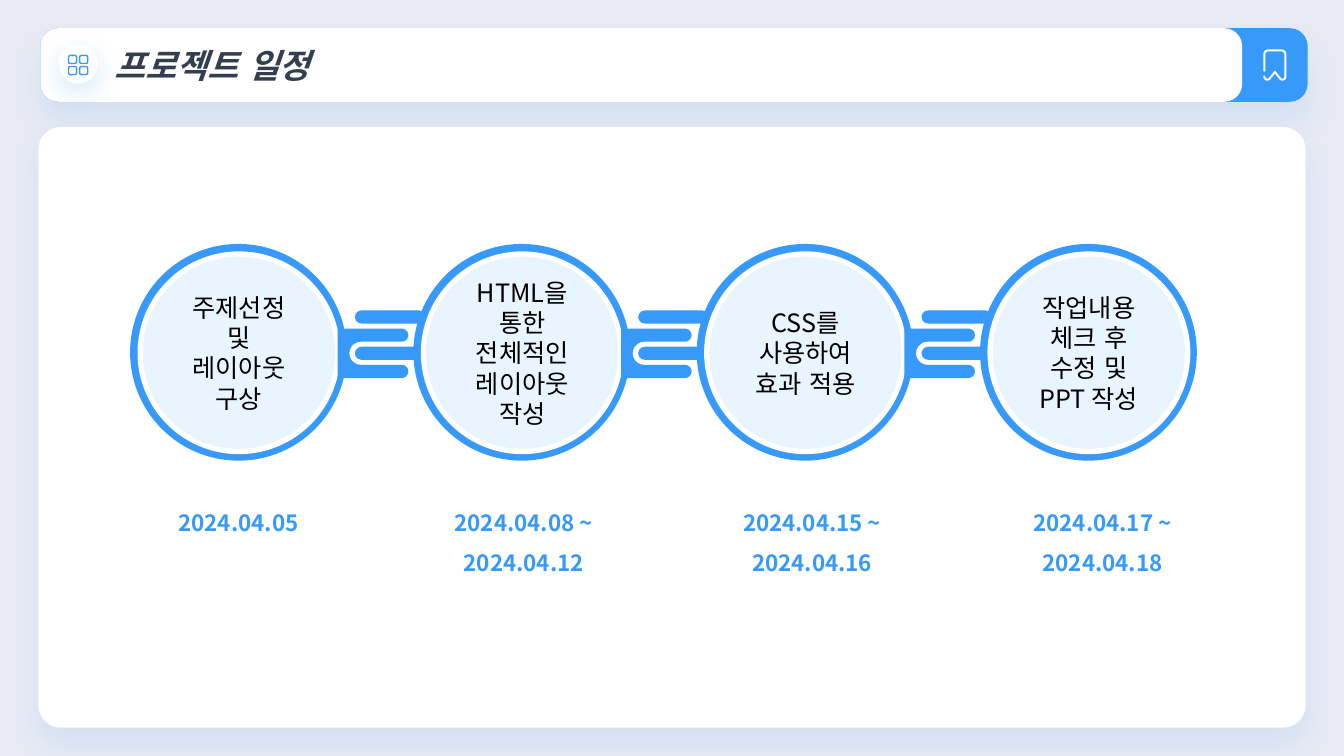
import math

import pptx
import pptx.dml.color
import pptx.enum.lang
import pptx.enum.shapes
import pptx.enum.text
import pptx.oxml
import pptx.oxml.ns
import pptx.util
from pptx.util import Inches

RGBColor = pptx.dml.color.RGBColor
SHAPES = pptx.enum.shapes.MSO_SHAPE
ALIGN = pptx.enum.text.PP_ALIGN
ANCHOR = pptx.enum.text.MSO_ANCHOR

BACKDROP = RGBColor(0xE7, 0xEA, 0xF3)
BLUE = RGBColor(0x37, 0x99, 0xFA)
PALE = RGBColor(0xE8, 0xF4, 0xFE)
SLATE = RGBColor(0x33, 0x3F, 0x50)
WHITE = RGBColor(0xFF, 0xFF, 0xFF)
BLACK = RGBColor(0, 0, 0)
FONT = "Noto Sans CJK KR"

TITLE_FORMAT = {"size": pptx.util.Pt(24), "bold": True, "italic": True}
STEP_FORMAT = {"size": pptx.util.Pt(18)}
DATE_FORMAT = {"size": pptx.util.Pt(16), "bold": True}

# Task, date paragraphs, left edge of the date
STEPS = [
    ("주제선정 및\v레이아웃 구상", ["2024.04.05"], 1.09),
    ("HTML을 통한 전체적인 레이아웃 작성", ["2024.04.08 ~\v2024.04.12"], 3.92),
    ("CSS를 사용하여 효과 적용", ["2024.04.15 ~\v2024.04.16"], 6.78),
    ("작업내용 체크 후 수정 및 PPT 작성", ["2024.04.17 ~", "2024.04.18"], 9.66),
]
DISC = 2.15
PITCH = 2.81


def paint(shape, fill, line=None, weight=0):
    shape.shadow.inherit = False
    shape.fill.solid()
    shape.fill.fore_color.rgb = fill
    if line is None:
        shape.line.fill.background()
    else:
        shape.line.color.rgb = line
        shape.line.width = pptx.util.Pt(weight)
    return shape


def add_block(page, kind, box, fill, line=None, weight=0, corner=None):
    shape = page.shapes.add_shape(kind, *map(Inches, box))
    if corner is not None:
        shape.adjustments[0] = corner
    return paint(shape, fill, line, weight)


def add_shadow(shape, opacity, distance):
    effects = shape.element.spPr.find(pptx.oxml.ns.qn("a:effectLst"))
    effects.append(pptx.oxml.parse_xml(
        f'<a:outerShdw {pptx.oxml.ns.nsdecls("a")} blurRad="{pptx.util.Pt(19)}" '
        f'dist="{pptx.util.Pt(distance)}" dir="5400000" algn="t" rotWithShape="0">'
        f'<a:srgbClr val="{BLUE}"><a:alpha val="{opacity * 1000}"/></a:srgbClr>'
        '</a:outerShdw>'))


def arc(x, y, radius, start, end, steps=10):
    angles = [math.radians(start + (end - start) * i / steps) for i in range(steps + 1)]
    return [(x + radius * math.cos(a), y + radius * math.sin(a)) for a in angles]


def add_outline(page, left, top, points, fill):
    spots = [(Inches(left + x), Inches(top + y)) for x, y in points]
    builder = page.shapes.build_freeform(*spots[0])
    builder.add_line_segments(spots[1:], close=True)
    return paint(builder.convert_to_shape(), fill)


def write(shape, texts, formats, color, align, spacing=None):
    frame = shape.text_frame
    frame.word_wrap = True
    for index, text in enumerate(texts):
        para = frame.add_paragraph() if index else frame.paragraphs[0]
        para.text = text
        para.alignment = align
        para.line_spacing = spacing
        for span in para.runs:
            span.font.name = FONT
            span.font.color.rgb = color
            span.font.language_id = pptx.enum.lang.MSO_LANGUAGE_ID.KOREAN
            for name, value in formats.items():
                setattr(span.font, name, value)
            span.font._element.append(pptx.oxml.parse_xml(
                f'<a:ea {pptx.oxml.ns.nsdecls("a")} typeface="{FONT}"/>'))
    return frame


def draw_bookmark(page, left, top):
    points = (
        arc(0.19, 0.27, 0.04, 135, 0) + arc(0.18, 0.05, 0.05, 0, -90)
        + arc(0.05, 0.05, 0.05, -90, -180) + arc(0.01, 0.21, 0.01, 180, 0)
        + arc(0.05, 0.05, 0.03, 180, 270) + arc(0.18, 0.05, 0.03, 270, 360)
        + arc(0.19, 0.27, 0.02, 0, 135) + [(0.115, 0.21)]
        + arc(0.04, 0.27, 0.02, 45, 180) + arc(0.01, 0.27, 0.01, 0, -180)
        + arc(0.04, 0.27, 0.04, 180, 45) + [(0.115, 0.24)])
    add_outline(page, left, top, points, WHITE)


def draw_header(page, left, top, width, height):
    # Blue bar with the white title plate on top
    bar = add_block(page, SHAPES.ROUNDED_RECTANGLE, (left, top, width, height),
                    BLUE, corner=0.243)
    add_shadow(bar, 10, 14)
    plate = add_block(page, SHAPES.ROUNDED_RECTANGLE, (left, top, width - 0.65, height),
                      WHITE, corner=0.243)
    frame = write(plate, ["프로젝트 일정"], TITLE_FORMAT, SLATE, ALIGN.LEFT)
    frame.vertical_anchor = ANCHOR.MIDDLE
    frame.paragraphs[0]._p.get_or_add_pPr().set("marL", str(Inches(0.59)))

    draw_bookmark(page, left + width - 0.44, top + 0.21)

    # Round button with four tiles
    button = add_block(page, SHAPES.OVAL, (left + 0.18, top + 0.16, 0.39, 0.39), WHITE)
    add_shadow(button, 20, 6)
    for index in range(4):
        row, column = divmod(index, 2)
        box = (left + 0.28 + 0.11 * column, top + 0.27 + 0.11 * row, 0.08, 0.08)
        add_block(page, SHAPES.ROUNDED_RECTANGLE, box, WHITE, BLUE, 1, 0.218)


def draw_panel(page, *box):
    panel = add_block(page, SHAPES.ROUNDED_RECTANGLE, box, WHITE, corner=0.038)
    add_shadow(panel, 10, 14)


def draw_clip(page, left, top):
    points = (
        [(0, 0)] + arc(0.635, 0.065, 0.065, -90, 90)
        + arc(0.23, 0.245, 0.115, 270, 90)
        + arc(0.635, 0.425, 0.065, -90, 90) + [(0, 0.49)])
    add_outline(page, left, top, points, BLUE)


def draw_step(page, left, top, task, is_first):
    # Links to the step before
    if not is_first:
        draw_clip(page, left - PITCH + 2.06, top + 0.84)
        for drop in (1.02, 0.66):
            add_block(page, SHAPES.ROUNDED_RECTANGLE,
                      (left - 0.58, top + drop, 0.7, 0.13), BLUE, corner=0.5)
    # Ring and disc
    add_block(page, SHAPES.OVAL, (left, top, DISC, DISC), BLUE)
    disc = add_block(page, SHAPES.OVAL, (left + 0.1, top + 0.1, 1.96, 1.96),
                     PALE, WHITE, 3.75)
    frame = write(disc, [task], STEP_FORMAT, BLACK, ALIGN.CENTER)
    frame.vertical_anchor = ANCHOR.MIDDLE


def draw_timeline(page, left, top):
    for index, (task, dates, date_left) in enumerate(STEPS):
        draw_step(page, left + PITCH * index, top, task, index == 0)
        box = page.shapes.add_textbox(
            *map(Inches, (date_left, top + 2.45, 2.55, 0.86 if index else 0.45)))
        write(box, dates, DATE_FORMAT, BLUE, ALIGN.CENTER, 1.5)


def main():
    deck = pptx.Presentation()
    deck.slide_width, deck.slide_height = Inches(13.33), Inches(7.5)
    page = deck.slides.add_slide(deck.slide_layouts[6])
    page.background.fill.solid()
    page.background.fill.fore_color.rgb = BACKDROP
    draw_header(page, 0.4, 0.28, 12.57, 0.73)
    draw_panel(page, 0.38, 1.26, 12.57, 5.96)
    draw_timeline(page, 1.29, 2.42)
    deck.save("out.pptx")


if __name__ == "__main__":
    main()
